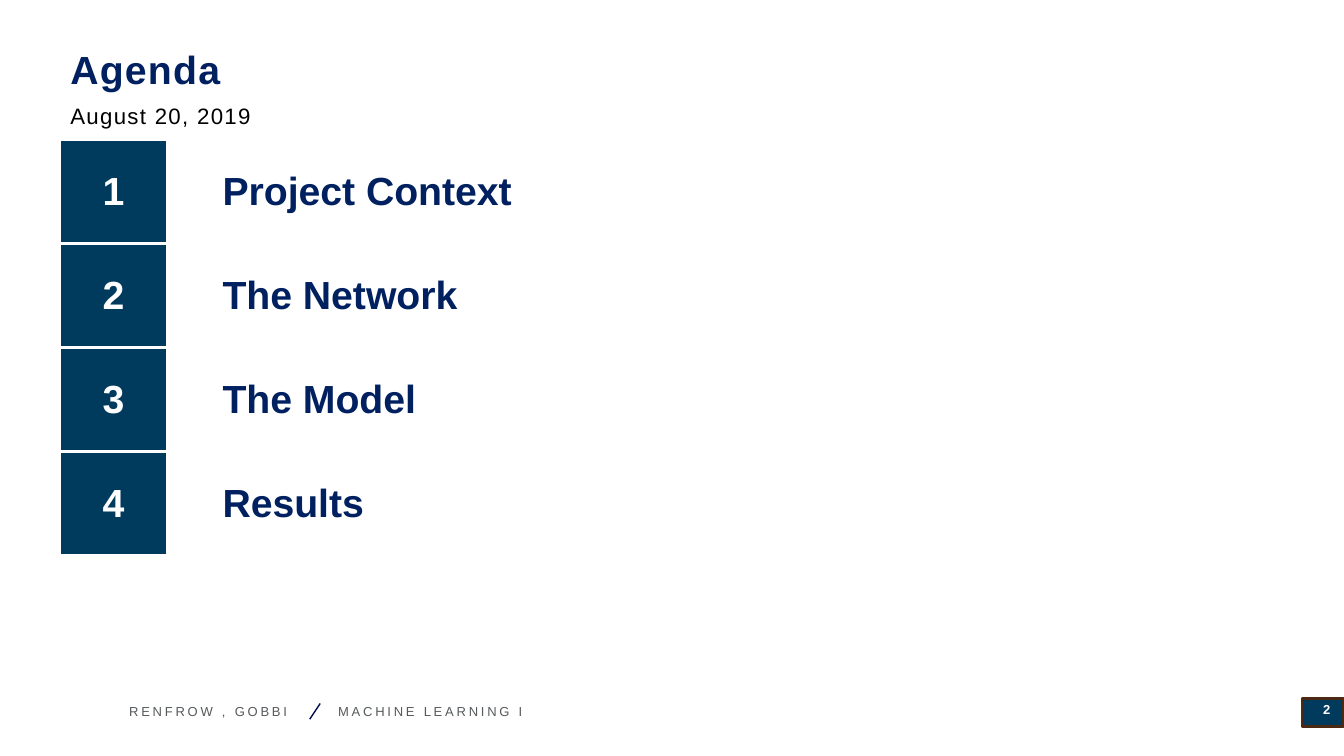
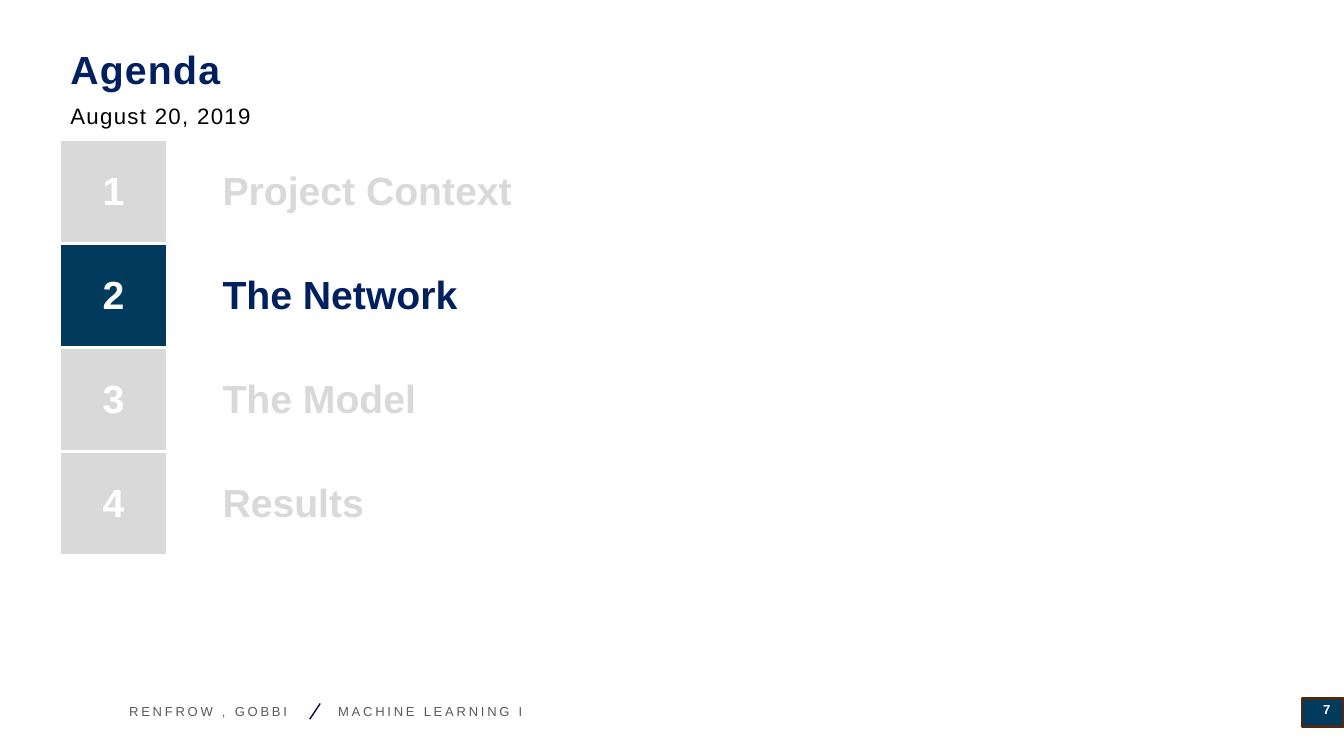
from lxml.etree import SubElement
from pptx import Presentation
from pptx.dml.color import RGBColor
from pptx.enum.shapes import MSO_CONNECTOR as Connector, MSO_SHAPE as Shape
from pptx.enum.text import MSO_ANCHOR as Anchor, MSO_AUTO_SIZE as AutoSize, PP_ALIGN as Align
from pptx.oxml.ns import qn
from pptx.util import Pt

PX = 9525
FONT = "Arial"
NAVY, PETROL, MUTED, WHITE = "002060", "003A5D", "D9D9D9", "FFFFFF"
BLACK, FOOTER_GREY, SLASH_BLUE, TAB_BROWN = "000000", "565A5C", "000F4B", "4B2913"
TOPICS = ["Project Context", "The Network", "The Model", "Results"]


def px(*lengths):
    return [length * PX for length in lengths]


def color(hex_string):
    return RGBColor.from_string(hex_string)


def write(frame, text, size, hex_string, bold=False, spacing=0, align=Align.LEFT):
    frame.text = text
    paragraph = frame.paragraphs[0]
    paragraph.alignment = align
    run = paragraph.runs[0]
    font = run.font
    font.name, font.size, font.bold = FONT, Pt(size), bold
    font.color.rgb = color(hex_string)
    if spacing:
        font._element.set("spc", str(round(spacing * 100)))


def set_frame(frame, anchor=Anchor.MIDDLE, insets=(10, 5, 10, 5)):
    frame.word_wrap = True
    frame.auto_size = AutoSize.NONE
    frame.vertical_anchor = anchor
    (frame.margin_left, frame.margin_top,
     frame.margin_right, frame.margin_bottom) = px(*insets)


def add_label(slide, box, text, size, hex_string, insets=(10, 5, 10, 5), **style):
    frame = slide.shapes.add_textbox(*px(*box)).text_frame
    set_frame(frame, insets=insets)
    write(frame, text, size, hex_string, **style)


def add_heading(slide, box, title, date):
    left, top, width, height = box
    heading = slide.shapes.title
    heading.left, heading.top, heading.width, heading.height = px(left, top, width, 50)
    set_frame(heading.text_frame, Anchor.BOTTOM, (10, 5, 10, 0))
    write(heading.text_frame, title, 28, NAVY, bold=True, spacing=0.9)
    add_label(slide, (left, top + 52, width, height - 52), date, 15.9, BLACK, spacing=0.9)


def add_footer(slide, box, authors, course, page):
    left, top, width, height = box
    right = left + width
    tab = slide.shapes.add_shape(Shape.RECTANGLE, *px(right - 40, top + 5, 40, 27))
    tab.shadow.inherit = False
    tab.fill.solid()
    tab.fill.fore_color.rgb = color(PETROL)
    tab.line.color.rgb = color(TAB_BROWN)
    tab.line.width = Pt(2)

    slash = slide.shapes.add_connector(
        Connector.STRAIGHT, *px(left + 192, top + 10, left + 182, top + 25))
    slash.line.color.rgb = color(SLASH_BLUE)
    slash.line.width = Pt(1)
    SubElement(slash._element.spPr, qn("a:effectLst"))

    for text, offset, label_width in ((course, 199, 757), (authors, 0, 192)):
        add_label(slide, (left + offset, top, label_width, height),
                  text, 9.3, FOOTER_GREY, spacing=2)
    add_label(slide, (right - 67, top - 1, 54, height), page, 9.3, WHITE,
              insets=(0, 0, 0, 0), bold=True, align=Align.RIGHT)


def set_borders(cell, widths):
    properties = cell._tc.get_or_add_tcPr()
    for side, width in zip("LRTB", widths):
        border = SubElement(properties, qn(f"a:ln{side}"), w=str(Pt(width)))
        fill = SubElement(border, qn("a:solidFill"))
        SubElement(fill, qn("a:srgbClr"), val=WHITE)


def format_cell(cell, fill, borders):
    set_borders(cell, borders)
    cell.fill.solid()
    cell.fill.fore_color.rgb = color(fill)
    cell.vertical_anchor = Anchor.MIDDLE
    cell.margin_left, cell.margin_top, cell.margin_right, cell.margin_bottom = px(6, 3, 6, 3)


def add_agenda(slide, box, active):
    left, top, width, height = box
    agenda = slide.shapes.add_table(len(TOPICS), 3, *px(*box)).table
    agenda.first_row = agenda.horz_banding = False
    for column, column_width in zip(agenda.columns, px(102, 47, width - 149)):
        column.width = column_width
    for number, (row, topic) in enumerate(zip(agenda.rows, TOPICS), 1):
        row.height = height * PX // len(TOPICS)
        number_cell, gap_cell, topic_cell = row.cells
        is_active = number in active
        format_cell(number_cell, PETROL if is_active else MUTED, (2.25,) * 4)
        format_cell(gap_cell, WHITE, (2.25, 2.25, 1, 1))
        format_cell(topic_cell, WHITE, (2.25, 1, 1, 1))
        write(number_cell.text_frame, str(number), 28, WHITE, bold=True, align=Align.CENTER)
        write(topic_cell.text_frame, topic, 28, NAVY if is_active else MUTED, bold=True)


def add_agenda_slide(deck, page, active):
    slide = deck.slides.add_slide(deck.slide_layouts[5])
    add_footer(slide, (113, 660, 1167, 34), "RENFROW , GOBBI", "MACHINE LEARNING I", page)
    add_heading(slide, (57, 38, 677, 93), "Agenda", "August 20, 2019")
    add_agenda(slide, (57, 133, 1157, 396), active)


def main():
    deck = Presentation()
    deck.slide_width, deck.slide_height = px(1280, 720)
    add_agenda_slide(deck, "2", {1, 2, 3, 4})
    add_agenda_slide(deck, "7", {2})
    deck.save("out.pptx")


if __name__ == "__main__":
    main()
